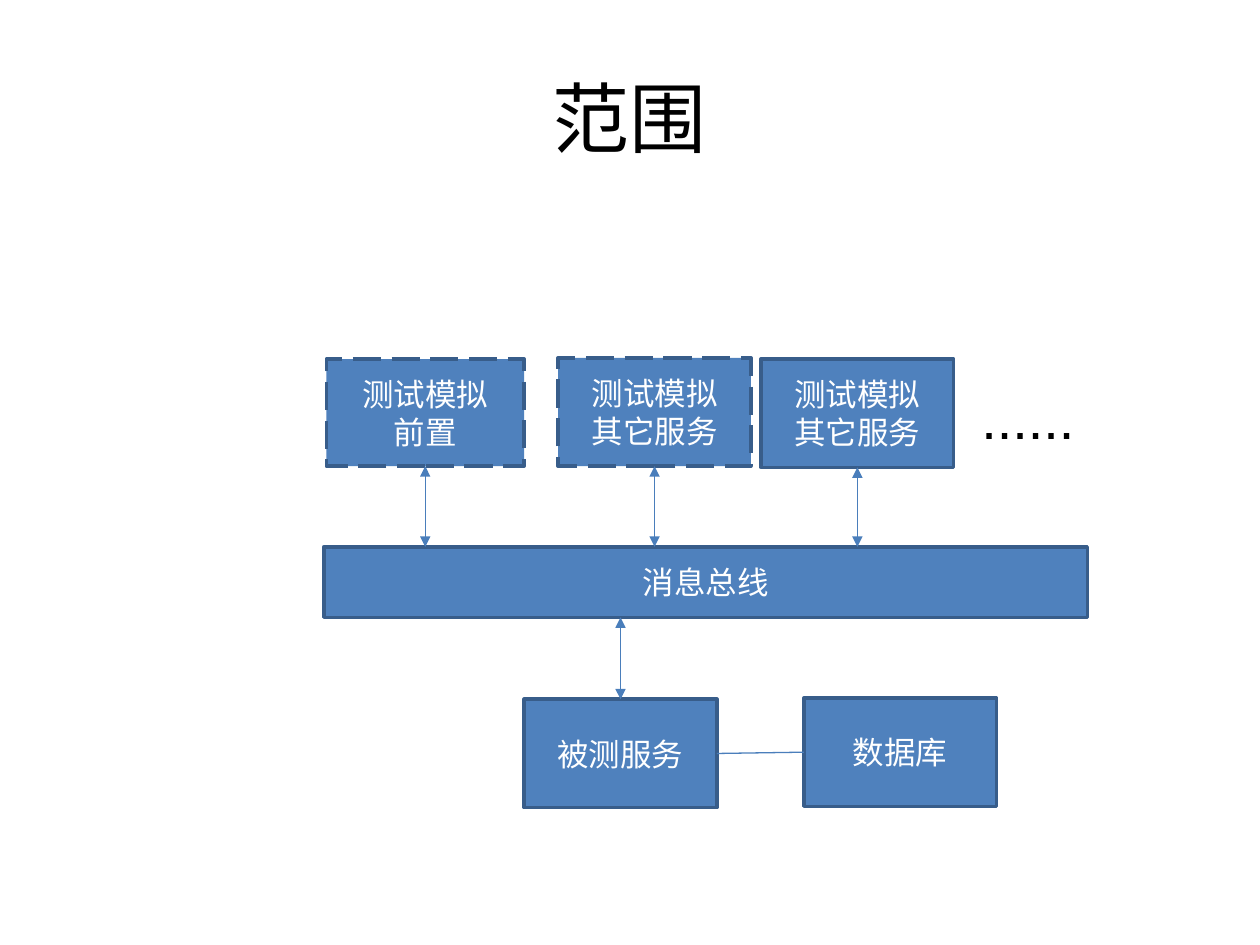
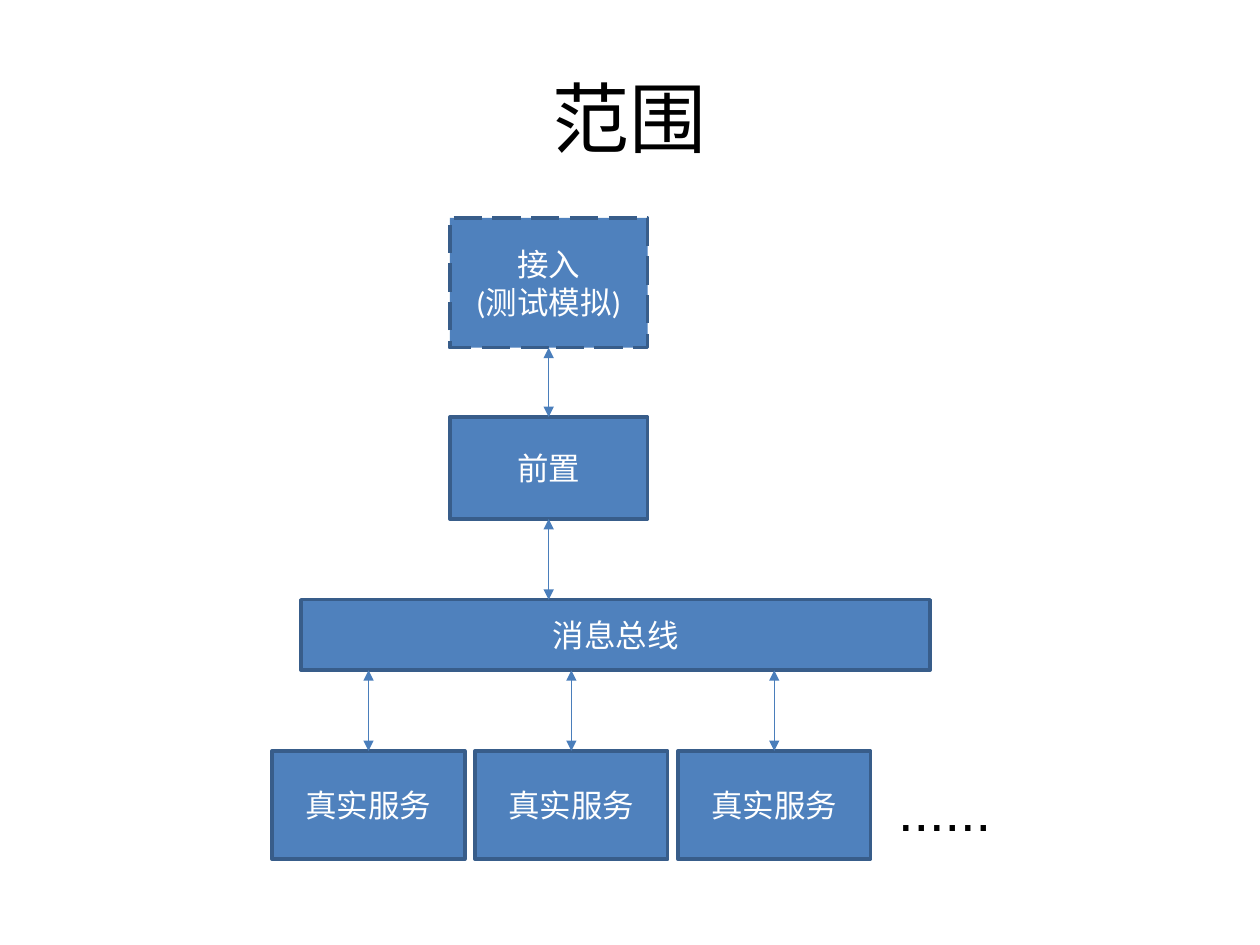
from lxml.etree import SubElement
from pptx import Presentation
from pptx.dml.color import RGBColor as RGB
from pptx.enum.dml import MSO_LINE as Dash
from pptx.enum.shapes import MSO_CONNECTOR as Conn, MSO_SHAPE as Shape
from pptx.enum.text import MSO_ANCHOR as Anchor, MSO_AUTO_SIZE as Fit, PP_ALIGN as Align
from pptx.oxml.ns import qn
from pptx.util import Inches, Pt

# Shared look
HEX = {"fill": "4F81BD", "edge": "385D8A", "link": "4A7EBB", "dark": "000000", "light": "FFFFFF"}
COLOR = {name: RGB.from_string(code) for name, code in HEX.items()}
TITLE = "范围"
DOTS = "......"
TOP, LEFT, BOTTOM, RIGHT = range(4)
W, H = 1.53, 0.86    # service box
FRONT_W = 1.57       # front-end box
STEP = 1.61          # service to service
BUS_H = 0.56

# Boxes: name -> (text, left, top, width, height, dashed)
# Taps: (box, side) joined straight to the bus
# Links: (from box, side, to box, side, arrows)
SLIDES = [
    {
        "boxes": {
            "bus": ("消息总线", 2.57, 4.34, 6.06, BUS_H, False),
            "tested": ("被测服务", 4.16, 5.55, W, H, False),
            "data": ("数据库", 6.38, 5.54, W, H, False),
            "front": ("测试模拟\n前置", 2.59, 2.85, FRONT_W, 0.85, True),
            "mock1": ("测试模拟\n其它服务", 4.43, 2.84, W, H, True),
            "mock2": ("测试模拟\n其它服务", 4.43 + STEP, 2.85, W, H, False),
        },
        "taps": [("front", BOTTOM), ("mock1", BOTTOM), ("mock2", BOTTOM), ("tested", TOP)],
        "links": [("tested", RIGHT, "data", LEFT, False)],
        "dots": (7.69, 2.73),
    },
    {
        "boxes": {
            "bus": ("消息总线", 2.39, 4.76, 4.99, BUS_H, False),
            "access": ("接入\n(测试模拟)", 3.57, 1.73, FRONT_W, 1.03, True),
            "front": ("前置", 3.57, 3.31, FRONT_W, 0.81, False),
            **{f"real{i}": ("真实服务", 2.16 + i * STEP, 5.96, W, H, False) for i in range(3)},
        },
        "taps": [("front", BOTTOM)] + [(f"real{i}", TOP) for i in range(3)],
        "links": [("access", BOTTOM, "front", TOP, True)],
        "dots": (7.03, 5.84),
    },
]


def style(para, size, color, font="Calibri", align=Align.CENTER):
    para.alignment = align
    para.font.size, para.font.name = Pt(size), font
    para.font.color.rgb = COLOR[color]


def add_title(slide):
    title = slide.shapes.title
    title.left, title.top, title.width, title.height = map(Inches, (0.5, 0.3, 9, 1.25))
    title.text_frame.text = TITLE
    title.text_frame.vertical_anchor = Anchor.MIDDLE
    style(title.text_frame.paragraphs[0], 44, "dark")


def add_box(slide, text, left, top, width, height, dashed):
    box = slide.shapes.add_shape(Shape.RECTANGLE, *map(Inches, (left, top, width, height)))
    box.shadow.inherit = False
    box.fill.solid()
    box.fill.fore_color.rgb = COLOR["fill"]
    box.line.color.rgb = COLOR["edge"]
    box.line.width = Pt(2)
    if dashed:
        box.line.dash_style = Dash.LONG_DASH
    frame = box.text_frame
    frame.text = text
    frame.word_wrap = True
    frame.vertical_anchor = Anchor.MIDDLE
    for para in frame.paragraphs:
        style(para, 18, "light")
    return box


def add_line(slide, start, end, arrows=True):
    line = slide.shapes.add_connector(Conn.STRAIGHT, *start, *end)
    line.line.color.rgb = COLOR["link"]
    line.line.width = Pt(0.75)
    props = line._element.spPr
    if arrows:
        for tag in ("a:headEnd", "a:tailEnd"):
            SubElement(props.find(qn("a:ln")), qn(tag), type="triangle")
    SubElement(props, qn("a:effectLst"))
    return line


def add_tap(slide, box, side, bus):
    mid = box.left + box.width // 2
    edge = bus.top if side == BOTTOM else bus.top + bus.height
    line = add_line(slide, (mid, box.top), (mid, edge))
    line.begin_connect(box, side)


def add_link(slide, first, side1, second, side2, arrows):
    line = add_line(slide, (first.left, first.top), (second.left, second.top), arrows)
    line.begin_connect(first, side1)
    line.end_connect(second, side2)


def add_dots(slide, left, top):
    area = slide.shapes.add_textbox(*map(Inches, (left, top, 0.94, 0.9)))
    frame = area.text_frame
    frame.text = DOTS
    frame.word_wrap = False
    frame.auto_size = Fit.SHAPE_TO_FIT_TEXT
    para = frame.paragraphs[0]
    para.line_spacing = 1.5
    style(para, 32, "dark", "Arial", Align.LEFT)


def main():
    deck = Presentation()
    deck.slide_width, deck.slide_height = Inches(10), Inches(7.5)
    for plan in SLIDES:
        slide = deck.slides.add_slide(deck.slide_layouts[5])
        add_title(slide)
        boxes = {name: add_box(slide, *spec) for name, spec in plan["boxes"].items()}
        add_dots(slide, *plan["dots"])
        for name, side in plan["taps"]:
            add_tap(slide, boxes[name], side, boxes["bus"])
        for name1, side1, name2, side2, arrows in plan["links"]:
            add_link(slide, boxes[name1], side1, boxes[name2], side2, arrows)
    deck.save("out.pptx")


if __name__ == "__main__":
    main()
